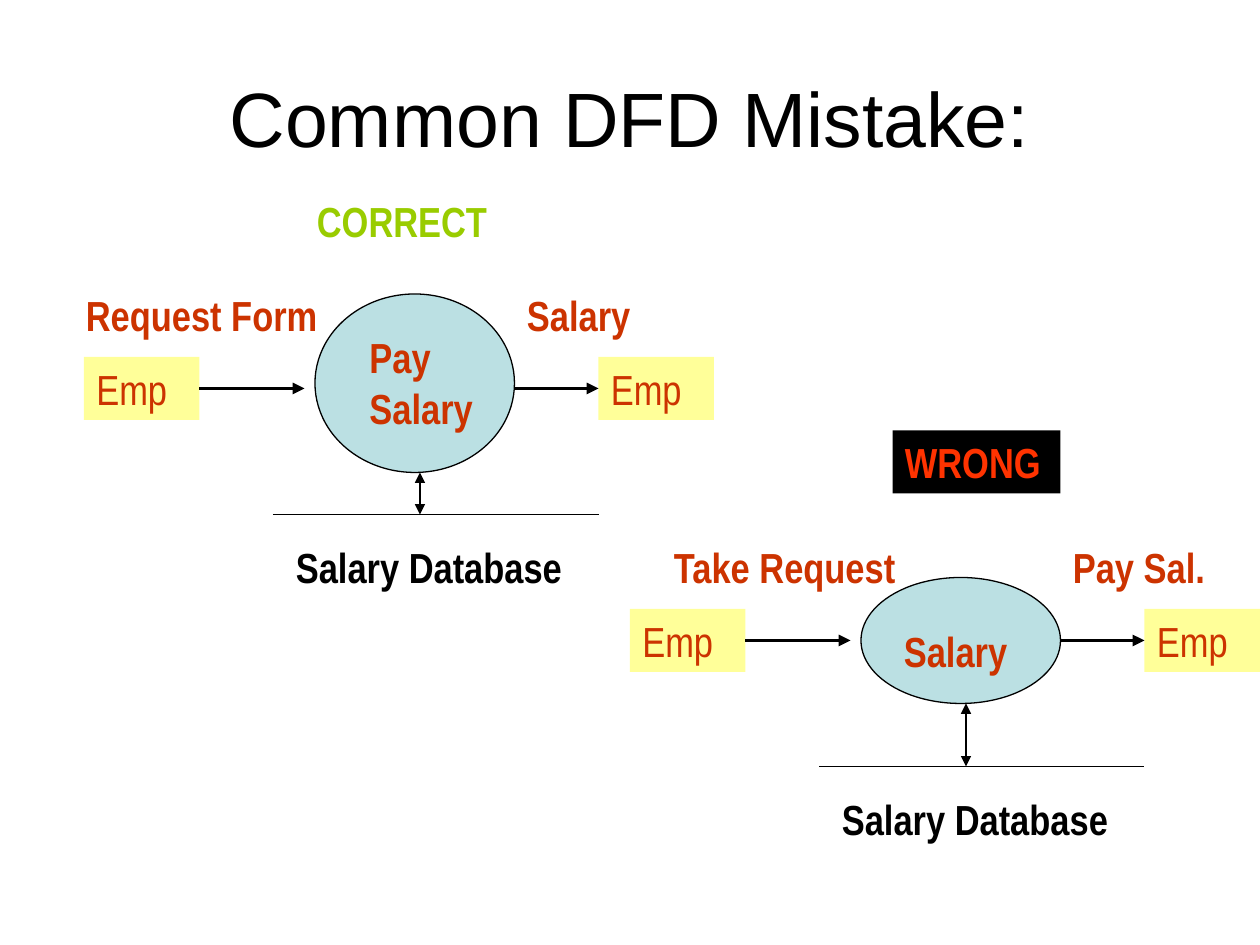
from lxml import etree
from pptx import Presentation
from pptx import util as u
from pptx.dml.color import RGBColor
from pptx.enum import shapes, text
from pptx.oxml.ns import qn

BLACK = RGBColor(0x00, 0x00, 0x00)
RUST = RGBColor(0xCC, 0x33, 0x00)
RED = RGBColor(0xFF, 0x33, 0x00)
GREEN = RGBColor(0x99, 0xCC, 0x00)
YELLOW = RGBColor(0xFF, 0xFF, 0x99)
AQUA = RGBColor(0xBB, 0xE0, 0xE3)

EMU_PER_PX = 7620  # 120 px to the inch
RIGHT, LEFT = 3, 1


def px(*lengths):
    return [u.Emu(length * EMU_PER_PX) for length in lengths]


def write(box, words, size=24, font="Arial Narrow", color=RUST, bold=False,
          align=text.PP_ALIGN.LEFT, anchor=text.MSO_ANCHOR.TOP):
    frame = box.text_frame
    frame.word_wrap = True
    frame.vertical_anchor = anchor
    para = frame.paragraphs[0]
    para.alignment = align
    span = para.add_run()
    span.text = words
    span.font.size = u.Pt(size)
    span.font.name = font
    span.font.bold = bold
    span.font.color.rgb = color


class Slide:
    """Draws on the current page, shifted by an origin in px."""

    def __init__(self, deck):
        self.page = deck.slides.add_slide(deck.slide_layouts[6])
        self.origin = (0, 0)

    def place(self, x, y):
        return px(x + self.origin[0], y + self.origin[1])

    def label(self, words, x, y, width, height=60, **style):
        box = self.page.shapes.add_textbox(*self.place(x, y), *px(width, height))
        write(box, words, **style)

    def shape(self, kind, x, y, width, height, fill):
        shape = self.page.shapes.add_shape(kind, *self.place(x, y), *px(width, height))
        shape.shadow.inherit = False
        shape.fill.solid()
        shape.fill.fore_color.rgb = fill
        return shape

    def block(self, words, x, y, width, fill=YELLOW, **style):
        box = self.shape(shapes.MSO_SHAPE.RECTANGLE, x, y, width, 60, fill)
        box.line.fill.background()
        write(box, words, **style)
        return box

    def ellipse(self, x, y, width, height):
        oval = self.shape(shapes.MSO_SHAPE.OVAL, x, y, width, height, AQUA)
        oval.line.color.rgb = BLACK
        oval.line.width = u.Pt(0.75)

    def line(self, start, end, weight=0.75, arrows=()):
        """Arrows holds "headEnd" (at start) and "tailEnd" (at end), in that order."""
        line = self.page.shapes.add_connector(
            shapes.MSO_CONNECTOR.STRAIGHT, *self.place(*start), *self.place(*end))
        line.line.color.rgb = BLACK
        line.line.width = u.Pt(weight)
        for arrow in arrows:
            etree.SubElement(line.line._get_or_add_ln(), qn(f"a:{arrow}"), type="triangle")
        etree.SubElement(line._element.spPr, qn("a:effectLst"))
        return line


def draw_flow(slide, origin, process, process_at, request, request_x, result,
              oval_top, oval_height, store_y):
    """Employee to process to employee, with the data store below."""
    slide.origin = origin
    slide.ellipse(300, oval_top, 190, oval_height)
    slide.label(process, *process_at, 160, bold=True)
    slide.label(request, request_x, 270, 250, bold=True)
    slide.label(result, 490, 270, 160, bold=True)
    sender = slide.block("Emp", 80, 340, 110)
    receiver = slide.block("Emp", 570, 340, 110)
    incoming = slide.line((190, 370), (290, 370), 2.25, ["tailEnd"])
    incoming.begin_connect(sender, RIGHT)
    outgoing = slide.line((490, 370), (570, 370), 2.25, ["tailEnd"])
    outgoing.end_connect(receiver, LEFT)
    slide.line((260, store_y), (570, store_y))
    slide.line((400, oval_top + oval_height), (400, store_y),
               arrows=["headEnd", "tailEnd"])
    slide.label("Salary Database", 270, 510, 290, color=BLACK, bold=True)
    slide.origin = (0, 0)


def main():
    deck = Presentation()
    deck.slide_width, deck.slide_height = px(1200, 900)
    slide = Slide(deck)
    slide.label("Common DFD Mistake:", 60, 36, 1080, 150, size=44, font="Arial",
                color=BLACK, align=text.PP_ALIGN.CENTER, anchor=text.MSO_ANCHOR.MIDDLE)
    draw_flow(slide, (0, 0), "Pay Salary", (340, 310), "Request Form", 70, "Salary",
              oval_top=280, oval_height=170, store_y=490)
    draw_flow(slide, (520, 240), "Salary", (329, 350), "Take Request", 110, "Pay Sal.",
              oval_top=310, oval_height=120, store_y=490)
    slide.label("CORRECT", 290, 180, 220, color=GREEN, bold=True)
    slide.block("WRONG", 850, 410, 160, fill=BLACK, color=RED, bold=True)
    deck.save("out.pptx")


if __name__ == "__main__":
    main()
